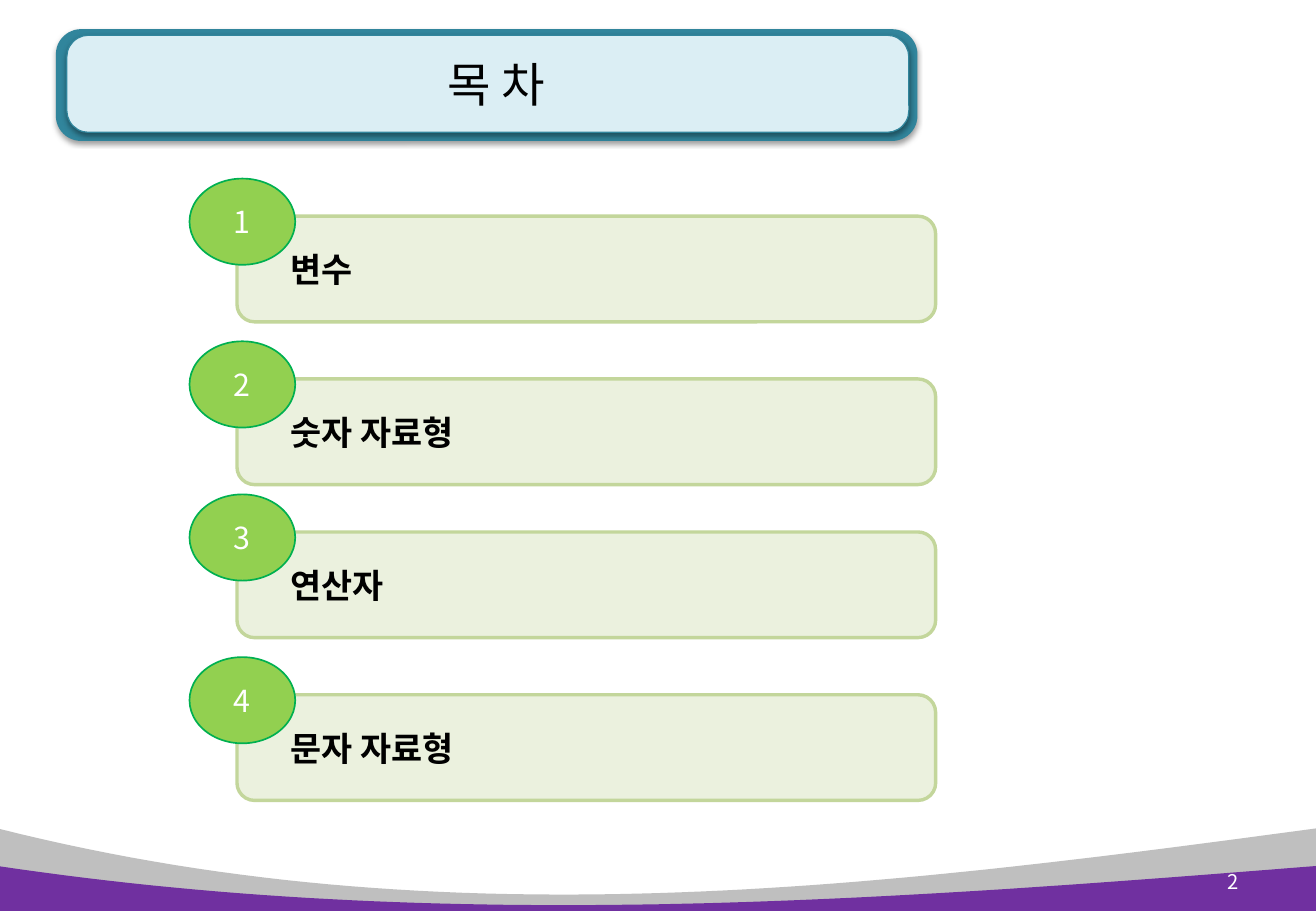
from lxml.etree import SubElement
from pptx import Presentation
from pptx.dml.color import RGBColor
from pptx.enum.shapes import MSO_SHAPE as Preset
from pptx.enum.text import MSO_ANCHOR as Anchor, PP_ALIGN as Align
from pptx.oxml import parse_xml
from pptx.oxml.ns import nsdecls, qn
from pptx.util import Inches, Pt

FONT = "Noto Sans CJK KR"
CHAPTERS = [("변수", 1.78), ("숫자 자료형", 3.12), ("연산자", 4.38), ("문자 자료형", 5.72)]
CURVE_STEPS = 60


def color(value):
    return RGBColor.from_string(value)


def paint(shape, fill, line=None, width=1):
    shape.shadow.inherit = False
    shape.fill.solid()
    shape.fill.fore_color.rgb = color(fill)
    if line:
        shape.line.color.rgb = color(line)
        shape.line.width = Pt(width)
    else:
        shape.line.fill.background()


def write(shape, text, size, font_color, align, bold=False):
    frame = shape.text_frame
    frame.word_wrap = True
    frame.vertical_anchor = Anchor.MIDDLE
    paragraph = frame.paragraphs[0]
    paragraph.text = text
    paragraph.alignment = align
    font = paragraph.font
    font.name = FONT
    font.size = Pt(size)
    font.bold = bold
    font.color.rgb = color(font_color)
    properties = paragraph._p.pPr.find(qn("a:defRPr"))
    SubElement(properties, qn("a:ea")).set("typeface", FONT)


def add_preset(slide, preset, box, fill, line=None, width=1):
    shape = slide.shapes.add_shape(preset, *map(Inches, box))
    paint(shape, fill, line, width)
    return shape


def add_text(slide, box, text, size, font_color, align):
    textbox = slide.shapes.add_textbox(*map(Inches, box))
    write(textbox, text, size, font_color, align)


def add_title_panel(slide, box, fill, line=None):
    panel = add_preset(slide, Preset.ROUNDED_RECTANGLE, box, fill, line, 0.75)
    panel.adjustments[0] = 0.225
    effects = panel._element.spPr.find(qn("a:effectLst"))
    effects.append(parse_xml(
        f'<a:outerShdw {nsdecls("a")} blurRad="{Pt(3.1)}" dist="{Pt(1.6)}" '
        'dir="5400000" rotWithShape="0"><a:srgbClr val="000000">'
        '<a:alpha val="38000"/></a:srgbClr></a:outerShdw>'))


def bezier(start, first, second, end, t):
    u = 1 - t
    return u**3 * start + 3 * u**2 * t * first + 3 * u * t**2 * second + t**3 * end


def add_wave(slide, heights, bottom, fill):
    edges = (-0.02, 3.65, 7.2, 10.83)
    curve = [
        (Inches(bezier(*edges, step / CURVE_STEPS)), Inches(bezier(*heights, step / CURVE_STEPS)))
        for step in range(CURVE_STEPS + 1)
    ]
    corners = [(Inches(edges[3]), Inches(bottom)), (Inches(edges[0]), Inches(bottom))]
    builder = slide.shapes.build_freeform(*curve[0])
    builder.add_line_segments(curve[1:] + corners, close=True)
    paint(builder.convert_to_shape(), fill)


def add_chapter(slide, number, name, top):
    bar = add_preset(slide, Preset.ROUNDED_RECTANGLE, (1.95, top, 5.75, 0.87),
                     "EBF1DE", "C3D69B", 2)
    bar.text_frame.margin_left = Inches(0.4)
    write(bar, name, 20, "000000", Align.LEFT, bold=True)
    badge = add_preset(slide, Preset.OVAL, (1.56, top - 0.31, 0.87, 0.71), "92D050", "00B050")
    write(badge, str(number), 18, "FFFFFF", Align.CENTER)


def main():
    presentation = Presentation()
    presentation.slide_width = Inches(10.83)
    presentation.slide_height = Inches(7.5)
    slide = presentation.slides.add_slide(presentation.slide_layouts[6])

    add_wave(slide, (6.82, 7.75, 7.31, 6.82), 7.5, "BFBFBF")
    add_title_panel(slide, (0.46, 0.24, 7.09, 0.92), "31859C")
    add_title_panel(slide, (0.55, 0.29, 6.93, 0.8), "DBEEF4", "31859C")
    add_wave(slide, (7.13, 7.68, 7.42, 7.13), 7.53, "7030A0")
    add_text(slide, (0.69, 0.22, 6.78, 0.94), "목 차", 28, "000000", Align.CENTER)
    add_text(slide, (9.68, 7.06, 0.61, 0.4), "2", 12, "FFFFFF", Align.RIGHT)
    for number, (name, top) in enumerate(CHAPTERS, start=1):
        add_chapter(slide, number, name, top)

    presentation.save("out.pptx")


if __name__ == "__main__":
    main()
